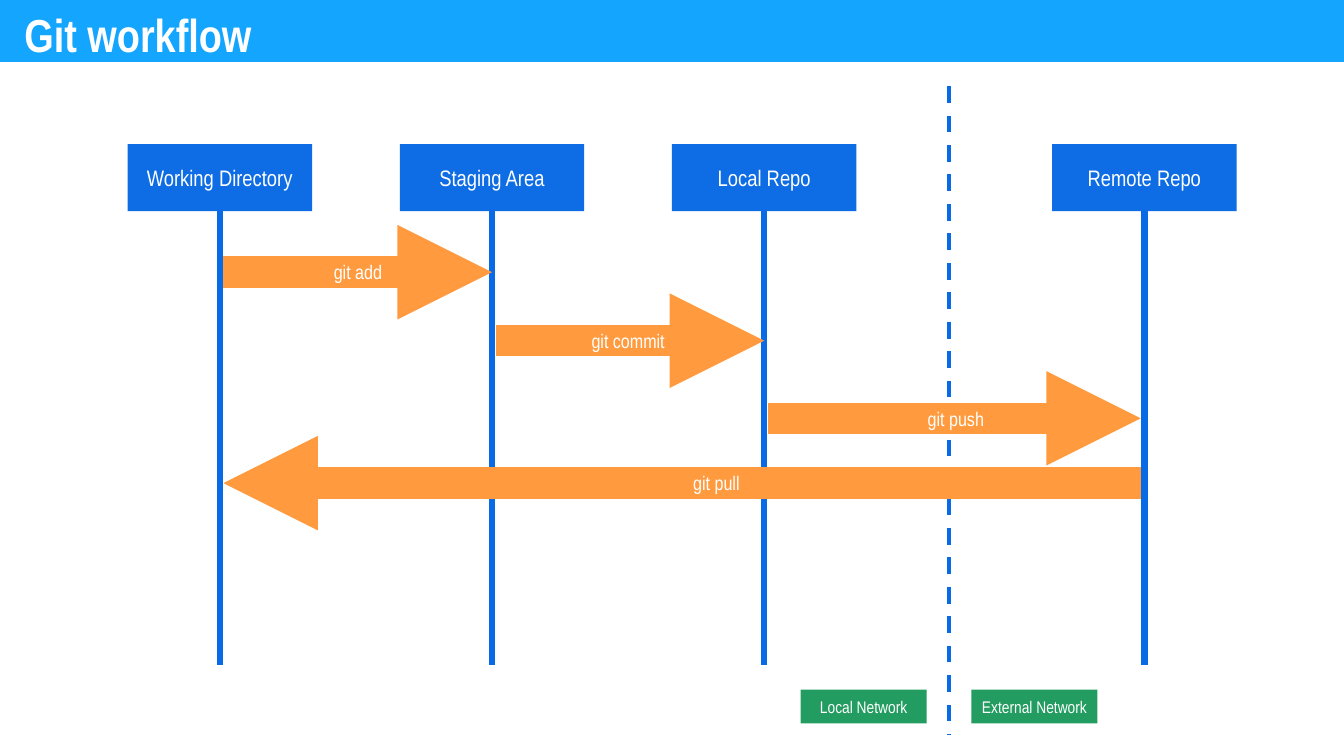
from dataclasses import dataclass

from pptx import Presentation
from pptx.dml.color import RGBColor
from pptx.enum.dml import MSO_LINE
from pptx.enum.shapes import MSO_CONNECTOR as CONN, MSO_SHAPE as SHAPE
from pptx.enum.text import MSO_ANCHOR as ANCHOR, MSO_AUTO_SIZE as AUTO, PP_ALIGN as ALIGN
from pptx.oxml.ns import qn
from pptx.util import Pt
from lxml.etree import SubElement

FONT = "Arial Narrow"
COLORS = {
    "banner": "14A5FF",
    "box": "0E6DE5",
    "lane": "086AE5",
    "arrow": "FF9B3E",
    "network": "229C60",
    "text": "FFFFFF",
}
SLIDE_W, SLIDE_H = 1919.52, 1080
BOX_W, BOX_H, BOX_TOP = 263.5, 95.8, 205.9
LANE_BOTTOM = 949.7
LABEL_H = 37.4
ARROW_GAP = 5
DIVIDER_X = 1355.8


@dataclass
class Lane:
    name: str
    x: float


@dataclass
class Command:
    text: str
    start: float
    end: float
    y: float
    label_x: float


@dataclass
class Network:
    name: str
    x: float


WORKING, STAGING, LOCAL, REMOTE = LANES = [
    Lane("Working Directory", 313.9),
    Lane("Staging Area", 702.7),
    Lane("Local Repo", 1091.5),
    Lane("Remote Repo", 1634.4),
]
COMMANDS = [
    Command("git commit", STAGING.x + ARROW_GAP, LOCAL.x, 486.7, 897.1),
    Command("git add", WORKING.x + ARROW_GAP, STAGING.x, 388.8, 511.2),
    Command("git push", LOCAL.x + ARROW_GAP, REMOTE.x - ARROW_GAP, 597.6, 1365.1),
    Command("git pull", REMOTE.x - ARROW_GAP, WORKING.x + ARROW_GAP, 690.2, 1023.1),
]
NETWORKS = [Network("External Network", 1477.4), Network("Local Network", 1233.4)]


def rgb(name: str) -> RGBColor:
    return RGBColor.from_string(COLORS[name])


def set_text(sp, text: str, size: float, bold: bool = False) -> None:
    tf = sp.text_frame
    tf.text = text
    tf.word_wrap = True
    tf.auto_size = AUTO.NONE
    p = tf.paragraphs[0]
    p.alignment = ALIGN.CENTER
    font = p.runs[0].font
    font.name, font.size, font.bold = FONT, Pt(size), bold
    font.color.rgb = rgb("text")


def add_rect(s, x: float, y: float, w: float, h: float, color: str):
    sp = s.shapes.add_shape(SHAPE.RECTANGLE, Pt(x), Pt(y), Pt(w), Pt(h))
    sp.shadow.inherit = False
    sp.fill.solid()
    sp.fill.fore_color.rgb = rgb(color)
    sp.line.fill.background()
    return sp


def add_label(s, text: str, x: float, y: float, w: float, h: float, color: str, size: float):
    sp = add_rect(s, x - w / 2, y, w, h, color)
    set_text(sp, text, size)
    sp.text_frame.vertical_anchor = ANCHOR.MIDDLE
    return sp


def add_line(s, x1: float, y1: float, x2: float, y2: float, color: str, width: float):
    line = s.shapes.add_connector(CONN.STRAIGHT, Pt(x1), Pt(y1), Pt(x2), Pt(y2))
    line.line.color.rgb = rgb(color)
    line.line.width = Pt(width)
    SubElement(line.element.spPr, qn("a:effectLst"))
    return line


def add_title(s) -> None:
    title = s.shapes.title
    title.left, title.top, title.width, title.height = Pt(15), Pt(5), Pt(364.3), Pt(82.8)
    set_text(title, "Git workflow", 66, bold=True)
    title.text_frame.vertical_anchor = ANCHOR.TOP
    banner = add_rect(s, 0, 0, SLIDE_W, 88.6, "banner")
    title.element.addprevious(banner.element)


def add_lane(s, lane: Lane) -> None:
    box = add_label(s, lane.name, lane.x, BOX_TOP, BOX_W, BOX_H, "box", 32)
    line = add_line(s, lane.x, BOX_TOP + BOX_H, lane.x, LANE_BOTTOM, "lane", 9)
    line.begin_connect(box, 2)


def add_command(s, c: Command) -> None:
    arrow = add_line(s, c.start, c.y, c.end, c.y, "arrow", 45)
    SubElement(arrow.line._get_or_add_ln(), qn("a:tailEnd"), type="triangle")
    add_label(s, c.text, c.label_x, c.y - LABEL_H / 2, BOX_W, LABEL_H, "arrow", 28)


def main() -> None:
    prs = Presentation()
    prs.slide_width, prs.slide_height = Pt(SLIDE_W), Pt(SLIDE_H)
    s = prs.slides.add_slide(prs.slide_layouts[5])
    add_title(s)
    divider = add_line(s, DIVIDER_X, 123.1, DIVIDER_X, 1049.8, "lane", 6)
    divider.line.dash_style = MSO_LINE.DASH
    for lane in LANES:
        add_lane(s, lane)
    for command in COMMANDS:
        add_command(s, command)
    for network in NETWORKS:
        add_label(s, network.name, network.x, 985.3, 180, 48.2, "network", 24)
    prs.save("out.pptx")


if __name__ == "__main__":
    main()
